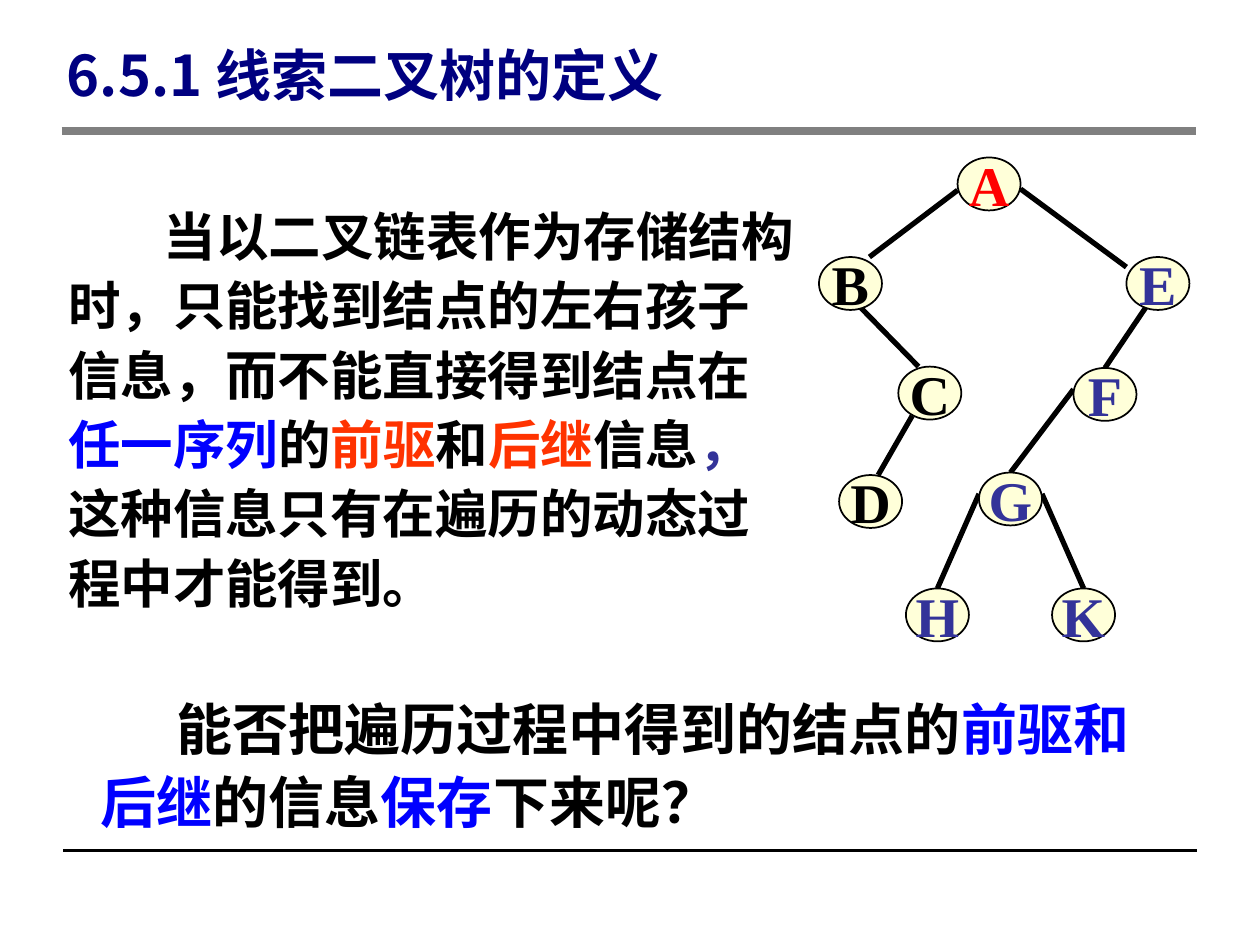
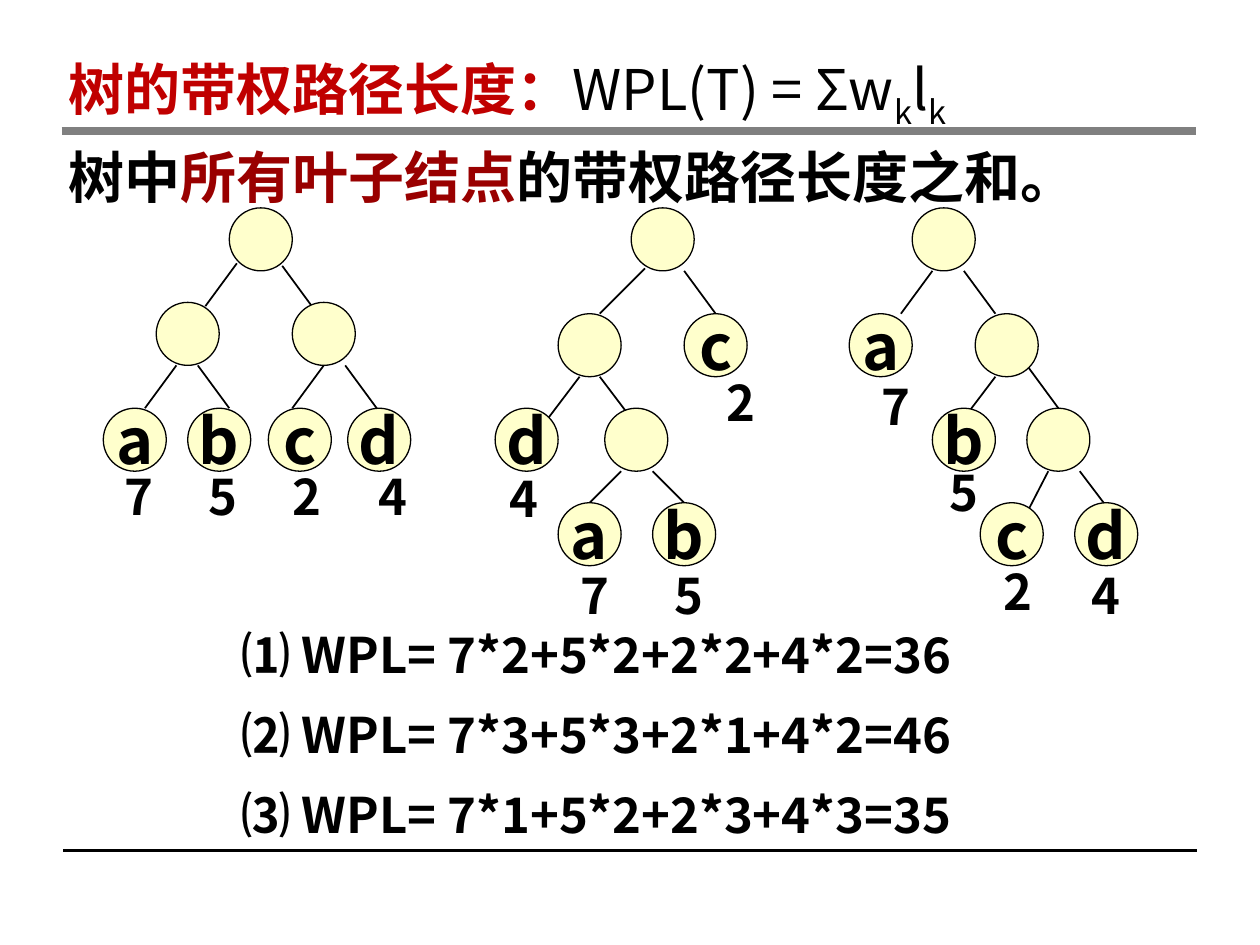
import dataclasses

import pptx
import pptx.dml.color
import pptx.enum.shapes
import pptx.enum.text
import pptx.oxml
import pptx.oxml.ns
import pptx.util
from pptx.util import Inches

RGBColor = pptx.dml.color.RGBColor
ALIGN = pptx.enum.text.PP_ALIGN
ANCHOR = pptx.enum.text.MSO_ANCHOR

BLACK = RGBColor(0x00, 0x00, 0x00)
GRAY = RGBColor(0x80, 0x80, 0x80)
NAVY = RGBColor(0x00, 0x00, 0x80)
BLUE = RGBColor(0x00, 0x00, 0xFF)
INDIGO = RGBColor(0x33, 0x33, 0x99)
RED = RGBColor(0xFF, 0x00, 0x00)
ORANGE = RGBColor(0xFF, 0x33, 0x00)
CRIMSON = RGBColor(0xC0, 0x00, 0x00)
DARK_RED = RGBColor(0x99, 0x00, 0x00)
IVORY = RGBColor(0xFF, 0xFF, 0xD9)
CREAM = RGBColor(0xFF, 0xFF, 0xCC)

SANS = "Noto Sans CJK SC"
SERIF = "Times New Roman"


@dataclasses.dataclass
class TreeStyle:
    width: float
    height: float
    fill: RGBColor
    outline: float
    edge: float
    font: str
    size: int


LETTER_TREE = TreeStyle(0.5, 0.42, IVORY, 1, 3, SERIF, 32)
WEIGHT_TREE = TreeStyle(0.5, 0.5, CREAM, 0.75, 1, SANS, 36)


# Text helpers
def format_run(r, size, color=BLACK, font=SANS, bold=True, baseline=0):
    r.font.size = pptx.util.Pt(size)
    r.font.bold = bold
    r.font.color.rgb = color
    r.font.name = font
    rPr = r._r.get_or_add_rPr()
    ea = pptx.oxml.parse_xml(f'<a:ea {pptx.oxml.ns.nsdecls("a")} typeface="{font}"/>')
    rPr.find(pptx.oxml.ns.qn("a:latin")).addnext(ea)
    if baseline:
        rPr.set("baseline", str(baseline * 1000))


def add_runs(p, size, runs):
    """Each run is (text, colour) with optional bold and baseline."""
    for text, color, *rest in runs:
        r = p.add_run()
        r.text = text
        format_run(r, size, color, SANS, *rest)


def format_paragraph(p, spacing, indent=0.0, align=ALIGN.LEFT, before=0):
    p.alignment = align
    p.line_spacing = pptx.util.Pt(spacing)
    p.space_before = pptx.util.Pt(before)
    pPr = p._p.get_or_add_pPr()
    pPr.set("marL", "0")
    pPr.set("indent", str(Inches(indent)))
    pPr.append(pptx.oxml.parse_xml(f'<a:buNone {pptx.oxml.ns.nsdecls("a")}/>'))


def place(sp, x, y, w, h, anchor=ANCHOR.TOP):
    """Move a placeholder or text box and return its text frame."""
    sp.left, sp.top, sp.width, sp.height = (Inches(v) for v in (x, y, w, h))
    tf = sp.text_frame
    tf.word_wrap = True
    tf.auto_size = pptx.enum.text.MSO_AUTO_SIZE.NONE
    tf.vertical_anchor = anchor
    return tf


# Lines
def add_line(s, x1, y1, x2, y2, width, color=BLACK):
    line = s.shapes.add_connector(
        pptx.enum.shapes.MSO_CONNECTOR.STRAIGHT,
        Inches(x1), Inches(y1), Inches(x2), Inches(y2))
    line.line.width = pptx.util.Pt(width)
    line.line.color.rgb = color
    line.element.spPr.append(
        pptx.oxml.parse_xml(f'<a:effectLst {pptx.oxml.ns.nsdecls("a")}/>'))
    return line


def add_master_rules(prs, s):
    """Header and footer rules, shared by every slide through the master."""
    rules = (add_line(s, 0.5, 6.75, 9.5, 6.75, 2),
             add_line(s, 0.49, 1.04, 9.49, 1.04, 5, GRAY))
    for rule in rules:
        prs.slide_master.shapes.element.append(rule.element)


# Trees
def add_node(s, x, y, letter, color, style):
    sp = s.shapes.add_shape(
        pptx.enum.shapes.MSO_SHAPE.OVAL,
        Inches(x), Inches(y), Inches(style.width), Inches(style.height))
    sp.shadow.inherit = False
    sp.fill.solid()
    sp.fill.fore_color.rgb = style.fill
    sp.line.color.rgb = BLACK
    sp.line.width = pptx.util.Pt(style.outline)
    if letter:
        tf = sp.text_frame
        tf.word_wrap = False
        tf.vertical_anchor = ANCHOR.MIDDLE
        p = tf.paragraphs[0]
        p.text = letter
        p.alignment = ALIGN.CENTER
        format_run(p.runs[0], style.size, color, style.font)


def add_weight(s, x, y, weight):
    tf = place(s.shapes.add_textbox(0, 0, 0, 0), x, y, 0.42, 0.57)
    tf.word_wrap = False
    p = tf.paragraphs[0]
    p.text = weight
    format_paragraph(p, 33.6, align=ALIGN.CENTER)
    format_run(p.runs[0], 28)


def add_tree(s, x, y, style, nodes, edges, weights=()):
    """Draw a tree relative to its corner (x, y), with nodes over edge ends."""
    for x1, y1, x2, y2 in edges:
        add_line(s, x + x1, y + y1, x + x2, y + y2, style.edge)
    for dx, dy, letter, color in nodes:
        add_node(s, x + dx, y + dy, letter, color, style)
    for dx, dy, weight in weights:
        add_weight(s, x + dx, y + dy, weight)


LETTER_NODES = [
    (1.1, 0, "A", RED), (0, 0.79, "B", BLACK), (0.63, 1.66, "C", BLACK),
    (0.16, 2.52, "D", BLACK), (2.44, 0.79, "E", INDIGO), (2.02, 1.67, "F", INDIGO),
    (1.27, 2.5, "G", INDIGO), (0.69, 3.42, "H", INDIGO), (1.85, 3.42, "K", INDIGO)]
LETTER_EDGES = [
    (1.1, 0.26, 0.4, 0.79), (0.32, 1.18, 0.79, 1.66), (0.74, 2.05, 0.47, 2.52),
    (1.6, 0.25, 2.44, 0.87), (2.6, 1.18, 2.27, 1.67), (2.02, 1.84, 1.52, 2.5),
    (1.27, 2.67, 0.94, 3.42), (1.77, 2.67, 2.1, 3.42)]

# Corner x, nodes, edges and leaf weights of each weighted tree
WEIGHTED_TREES = [
    (0.82,
     [(1, 0, ""), (0.42, 0.75, ""), (1.5, 0.75, ""),
      (0, 1.59, "a"), (0.67, 1.59, "b"), (1.31, 1.59, "c"), (1.94, 1.59, "d")],
     [(1.06, 0.44, 0.81, 0.78), (1.42, 0.46, 1.67, 0.8), (0.58, 1.25, 0.33, 1.59),
      (0.75, 1.25, 1, 1.59), (1.75, 1.25, 1.5, 1.59), (1.92, 1.25, 2.17, 1.59)],
     [(0.07, 2, "7"), (0.74, 2, "5"), (1.41, 2, "2"), (2.09, 2, "4")]),
    (3.93,
     [(1.08, 0, ""), (0.5, 0.84, ""), (1.5, 0.84, "c"), (0, 1.59, "d"),
      (0.87, 1.59, ""), (0.5, 2.34, "a"), (1.25, 2.34, "b")],
     [(1.19, 0.48, 0.83, 0.84), (1.5, 0.5, 1.75, 0.84), (0.67, 1.34, 0.42, 1.67),
      (0.83, 1.34, 1.08, 1.67), (1, 2.09, 0.75, 2.34), (1.25, 2.09, 1.5, 2.34)],
     [(0.02, 2.02, "4"), (0.58, 2.79, "7"), (1.33, 2.79, "5"), (1.74, 1.26, "2")]),
    (6.74,
     [(0.5, 0, ""), (0, 0.84, "a"), (1, 0.84, ""), (0.66, 1.59, "b"),
      (1.41, 1.59, ""), (1.04, 2.34, "c"), (1.79, 2.34, "d")],
     [(0.66, 0.5, 0.41, 0.84), (0.91, 0.5, 1.16, 0.84), (1.16, 1.34, 0.91, 1.67),
      (1.41, 1.25, 1.66, 1.59), (1.58, 2.09, 1.41, 2.42), (1.83, 2.09, 2.08, 2.42)],
     [(0.16, 1.29, "7"), (0.7, 1.97, "5"), (1.13, 2.76, "2"), (1.83, 2.79, "4")])]


# Slides
def build_definition(s):
    # Title
    tf = place(s.shapes.title, 0.43, 0.28, 5.71, 0.6, ANCHOR.MIDDLE)
    p = tf.paragraphs[0]
    p.text = "6.5.1 线索二叉树的定义"
    format_paragraph(p, 40)
    format_run(p.runs[0], 32, NAVY)

    add_tree(s, 6.5, 1.25, LETTER_TREE, LETTER_NODES, LETTER_EDGES)

    # Explanation
    p = place(s.placeholders[1], 0.44, 1.52, 6.02, 3.41).paragraphs[0]
    format_paragraph(p, 39.6, indent=0.76)
    add_runs(p, 30, [
        ("当以二叉链表作为存储结构时，只能找到结点的左右孩子信息，而不能直接得到结点在", BLACK),
        ("任一序列", BLUE), ("的", BLACK), ("前驱", ORANGE), ("和", BLACK),
        ("后继", ORANGE), ("信息", BLACK), ("，", INDIGO),
        ("这种信息只有在遍历的动态过程中才能得到。", BLACK)])

    # Question
    p = place(s.shapes.add_textbox(0, 0, 0, 0), 0.7, 5.41, 8.49, 1.28).paragraphs[0]
    format_paragraph(p, 42, indent=0.6)
    add_runs(p, 32, [
        ("能否把遍历过程中得到的结点的", BLACK), ("前驱和后继", BLUE),
        ("的信息", BLACK), ("保存", BLUE), ("下来呢？", BLACK)])


def build_path_length(s):
    # Title with the formula and its meaning, ending above the tree roots
    tf = place(s.shapes.title, 0.44, 0.24, 9, 1.41)
    heading = [
        (53.7, [("树的带权路径长度：", CRIMSON), ("WPL(T) = Σw", BLACK, False),
                ("k", BLACK, False, -25), ("l", BLACK, False),
                ("k", BLACK, False, -25)]),
        (45, [("树中", BLACK), ("所有叶子结点", DARK_RED),
              ("的带权路径长度之和。", BLACK)])]
    for i, (spacing, runs) in enumerate(heading):
        p = tf.add_paragraph() if i else tf.paragraphs[0]
        format_paragraph(p, spacing)
        add_runs(p, 32, runs)

    # Weighted trees
    for x, nodes, edges, weights in WEIGHTED_TREES:
        black_nodes = [(*node, BLACK) for node in nodes]
        add_tree(s, x, 1.65, WEIGHT_TREE, black_nodes, edges, weights)

    # Sums
    tf = place(s.placeholders[1], 1.82, 4.91, 5.94, 1.85)
    tf.text = "\n".join([
        "⑴ WPL= 7*2+5*2+2*2+4*2=36",
        "⑵ WPL= 7*3+5*3+2*1+4*2=46",
        "⑶ WPL= 7*1+5*2+2*3+4*3=35"])
    for i, p in enumerate(tf.paragraphs):
        format_paragraph(p, 33.6, before=12 if i else 0)
        format_run(p.runs[0], 28)


def main():
    prs = pptx.Presentation()
    prs.slide_width, prs.slide_height = Inches(10), Inches(7.5)
    layout = prs.slide_layouts[1]
    definition, path_length = (prs.slides.add_slide(layout) for _ in range(2))
    add_master_rules(prs, definition)
    build_definition(definition)
    build_path_length(path_length)
    prs.save("out.pptx")


if __name__ == "__main__":
    main()
